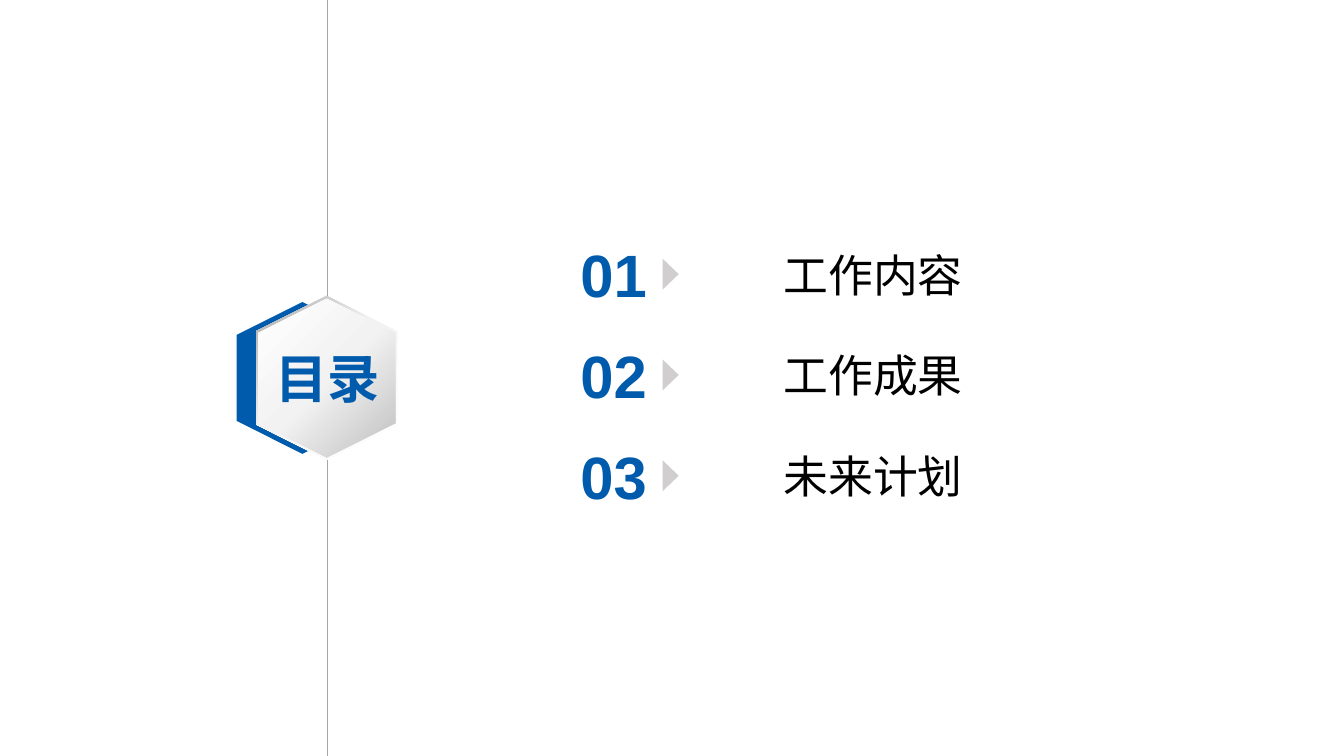
from dataclasses import dataclass

from lxml import etree
from pptx import Presentation
from pptx.dml.color import RGBColor
from pptx.enum.shapes import MSO_CONNECTOR, MSO_SHAPE
from pptx.enum.text import MSO_ANCHOR, MSO_AUTO_SIZE, PP_ALIGN
from pptx.oxml import parse_xml
from pptx.oxml.ns import nsdecls, qn
from pptx.util import Inches, Pt

HEXAGON = MSO_SHAPE.HEXAGON
TRIANGLE = MSO_SHAPE.ISOSCELES_TRIANGLE
STRAIGHT = MSO_CONNECTOR.STRAIGHT
TOP, MIDDLE = MSO_ANCHOR.TOP, MSO_ANCHOR.MIDDLE
LEFT, CENTER = PP_ALIGN.LEFT, PP_ALIGN.CENTER
NO_FIT = MSO_AUTO_SIZE.NONE


@dataclass(frozen=True)
class Theme:
    blue: str = "005BAC"
    black: str = "000000"
    rule: str = "A6A6A6"
    arrow: str = "D0CECE"
    rim: tuple = ((0, "FFFFFF"), (55, "F2F2F2"), (100, "A6A6A6"))
    face: tuple = ((0, "FFFFFF"), (51, "F2F2F2"), (100, "BFBFBF"))
    latin: str = "Arial"
    chinese: str = "Noto Sans CJK SC"
    title_size: int = 28
    number_size: int = 32
    topic_size: int = 24


THEME = Theme()
WIDTH = 10
HEIGHT = WIDTH * 9 / 16
RULE_COLUMN, BADGE_COLUMN = 2.44, 2.43
MIDDLE_ROW = HEIGHT / 2
NUMBER_COLUMN, ARROW_COLUMN, TOPIC_COLUMN = 4.22, 4.99, 5.73
FIRST_ROW, ROW_PITCH = 2.04, 0.75
TOPIC_GAP = 25.2       # points between topic lines, so they follow the rows
TOPICS = ("工作内容", "工作成果", "未来计划")


def place(shape, left, top, width, height):
    shape.left, shape.top = Inches(left), Inches(top)
    shape.width, shape.height = Inches(width), Inches(height)


def set_frame(frame, wrap, anchor):
    frame.auto_size = NO_FIT
    frame.word_wrap = wrap
    frame.vertical_anchor = anchor
    frame.margin_left = frame.margin_right = Inches(0.1)
    frame.margin_top = frame.margin_bottom = Inches(0.05)


def style_para(para, family, size, color, bold, align):
    para.alignment = align
    for span in para.runs:
        span.font.name = family
        span.font.size = Pt(size)
        span.font.bold = bold
        span.font.color.rgb = RGBColor.from_string(color)
        latin = span.font._element.find(qn("a:latin"))
        east_asian = etree.Element(qn("a:ea"), typeface=family)
        latin.addnext(east_asian)


def add_turned_shape(page, kind, center_x, center_y, width, height, color=None):
    """Add a borderless preset shape, turned a quarter, around its centre."""
    shape = page.shapes.add_shape(
        kind, Inches(center_x - width / 2), Inches(center_y - height / 2),
        Inches(width), Inches(height))
    shape.rotation = 90
    shape.shadow.inherit = False
    shape.line.fill.background()
    if color:
        shape.fill.solid()
        shape.fill.fore_color.rgb = RGBColor.from_string(color)
    return shape


def fill_gradient(shape, stops, angle):
    marks = "".join(
        f'<a:gs pos="{share * 1000}"><a:srgbClr val="{color}"/></a:gs>'
        for share, color in stops)
    gradient = parse_xml(
        f'<a:gradFill {nsdecls("a")} rotWithShape="1"><a:gsLst>{marks}</a:gsLst>'
        f'<a:lin ang="{angle * 60000}" scaled="0"/></a:gradFill>')
    shape._element.spPr.find(qn("a:prstGeom")).addnext(gradient)


def add_rule(page):
    rule = page.shapes.add_connector(
        STRAIGHT, Inches(RULE_COLUMN), Inches(0), Inches(RULE_COLUMN), Inches(HEIGHT))
    rule.line.color.rgb = RGBColor.from_string(THEME.rule)
    rule.line.width = Pt(0.5)
    etree.SubElement(rule._element.spPr, qn("a:effectLst"))


def add_badge(page):
    # Blue hexagon behind, then the raised rim and face
    add_turned_shape(page, HEXAGON, BADGE_COLUMN - 0.18, MIDDLE_ROW,
                     1.13, 0.98, THEME.blue)
    rim = add_turned_shape(page, HEXAGON, BADGE_COLUMN, MIDDLE_ROW, 1.22, 1.05)
    fill_gradient(rim, THEME.rim, 135)
    face = add_turned_shape(page, HEXAGON, BADGE_COLUMN, MIDDLE_ROW, 1.18, 1.02)
    fill_gradient(face, THEME.face, 315)


def set_title(page, text):
    title = page.shapes.title
    place(title, BADGE_COLUMN - 0.49, MIDDLE_ROW - 0.29, 0.99, 0.57)
    title.text_frame.text = text
    set_frame(title.text_frame, False, MIDDLE)
    style_para(title.text_frame.paragraphs[0], THEME.chinese,
               THEME.title_size, THEME.blue, True, CENTER)
    # Bring the title in front of the badge
    page.shapes._spTree.append(title._element)


def add_number(page, number, row):
    center = FIRST_ROW + row * ROW_PITCH
    box = page.shapes.add_textbox(0, 0, 0, 0)
    place(box, NUMBER_COLUMN, center - 0.32, 0.7, 0.64)
    box.text_frame.text = f"{number:02d}"
    set_frame(box.text_frame, False, TOP)
    style_para(box.text_frame.paragraphs[0], THEME.latin,
               THEME.number_size, THEME.blue, True, LEFT)
    add_turned_shape(page, TRIANGLE, ARROW_COLUMN, center, 0.23, 0.12, THEME.arrow)


def set_topics(page, topics):
    body = page.placeholders[1]
    place(body, TOPIC_COLUMN, FIRST_ROW - 0.25, 1.73, 0.5 + 2 * ROW_PITCH)
    body.text_frame.text = "\n".join(topics)
    set_frame(body.text_frame, True, TOP)
    for row, para in enumerate(body.text_frame.paragraphs):
        para.space_before = Pt(TOPIC_GAP if row else 0)
        settings = para._element.get_or_add_pPr()
        settings.set("marL", "0")
        settings.set("indent", "0")
        etree.SubElement(settings, qn("a:buNone"))
        style_para(para, THEME.chinese, THEME.topic_size, THEME.black, False, LEFT)


def main():
    deck = Presentation()
    deck.slide_width, deck.slide_height = Inches(WIDTH), Inches(HEIGHT)
    page = deck.slides.add_slide(deck.slide_layouts[1])

    # Left: rule with the heading badge
    add_rule(page)
    add_badge(page)
    set_title(page, "目录")

    # Right: numbered topics
    for row in range(len(TOPICS)):
        add_number(page, row + 1, row)
    set_topics(page, TOPICS)

    deck.save("out.pptx")


if __name__ == "__main__":
    main()
